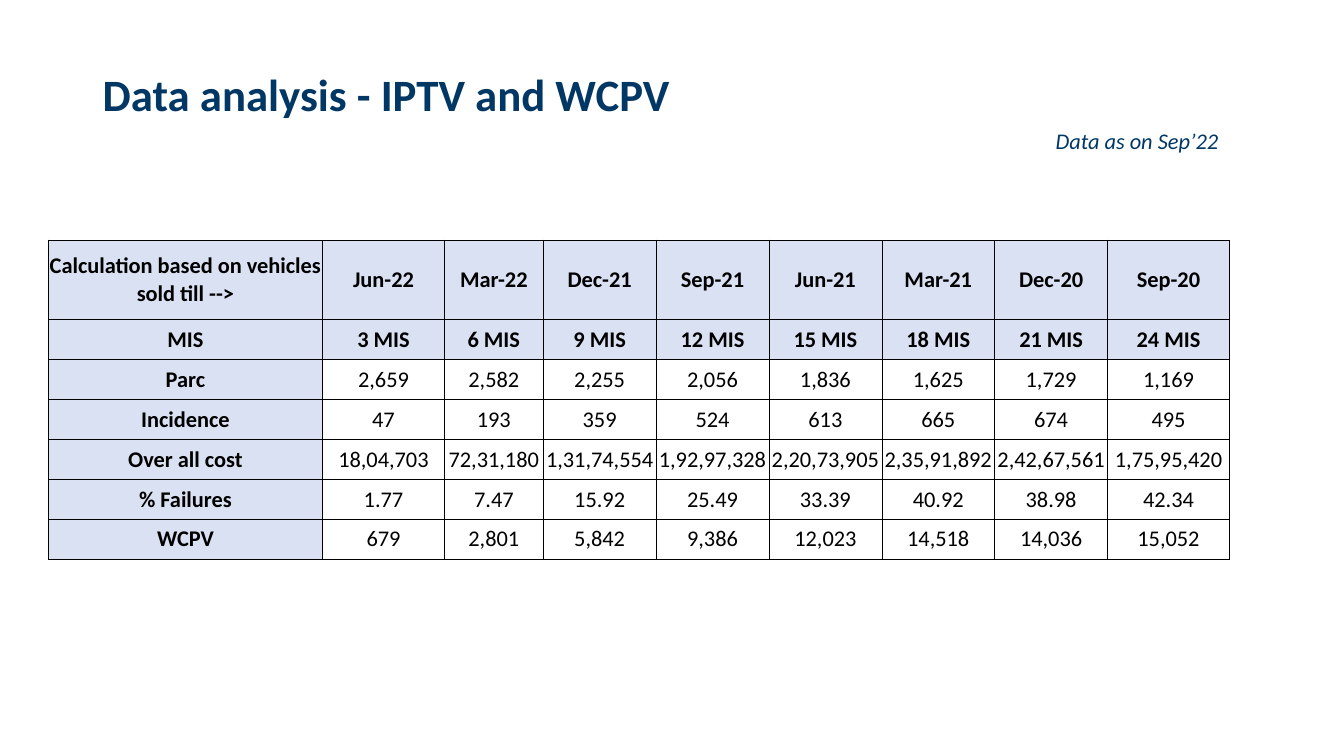
import pptx
import pptx.dml.color
import pptx.enum.text
import pptx.oxml
import pptx.oxml.ns
import pptx.util

Pt = pptx.util.Pt
ALIGN = pptx.enum.text.PP_ALIGN
ANCHOR = pptx.enum.text.MSO_ANCHOR

TITLE = "Data analysis - IPTV and WCPV"
DATE_NOTE = "Data as on Sep’22"
ROWS = [
    ("Calculation based on vehicles sold till -->", "Jun-22", "Mar-22", "Dec-21",
     "Sep-21", "Jun-21", "Mar-21", "Dec-20", "Sep-20"),
    ("MIS", "3 MIS", "6 MIS", "9 MIS", "12 MIS", "15 MIS", "18 MIS", "21 MIS", "24 MIS"),
    ("Parc", "2,659", "2,582", "2,255", "2,056", "1,836", "1,625", "1,729", "1,169"),
    ("Incidence", "47", "193", "359", "524", "613", "665", "674", "495"),
    ("Over all cost", "18,04,703", "72,31,180", "1,31,74,554", "1,92,97,328",
     "2,20,73,905", "2,35,91,892", "2,42,67,561", "1,75,95,420"),
    ("% Failures", "1.77", "7.47", "15.92", "25.49", "33.39", "40.92", "38.98", "42.34"),
    ("WCPV", "679", "2,801", "5,842", "9,386", "12,023", "14,518", "14,036", "15,052"),
]
HEADER_ROWS = 2
ROW_HEIGHT = 28.53
ROW_HEIGHTS = [2 * ROW_HEIGHT] + [ROW_HEIGHT] * (len(ROWS) - 1)
COLUMN_WIDTHS = [195.84, 87.12, 70.56] + [80.64] * 5 + [87.12]
TABLE_LEFT, TABLE_TOP = 34.56, 171.36

THEME = {
    "font": "Calibri",
    "navy": "003764",
    "black": "000000",
    "header_fill": "D9E1F2",
    "title_size": 32,
    "body_size": 16,
    "border": 0.5,
}


def color(name):
    return pptx.dml.color.RGBColor.from_string(THEME[name])


def format_text(frame, size, color_name, align, bold=False, italic=False):
    for para in frame.paragraphs:
        para.alignment = align
        for span in para.runs:
            span.font.name = THEME["font"]
            span.font.size = Pt(THEME[size])
            span.font.color.rgb = color(color_name)
            span.font.bold = bold
            span.font.italic = italic


def add_text(page, text, place, anchor):
    frame = page.shapes.add_textbox(*map(Pt, place)).text_frame
    frame.word_wrap = True
    frame.vertical_anchor = anchor
    frame.text = text
    return frame


def add_borders(cell):
    properties = cell._tc.get_or_add_tcPr()
    for side in ("lnL", "lnR", "lnT", "lnB"):
        properties.append(pptx.oxml.parse_xml(
            f'<a:{side} {pptx.oxml.ns.nsdecls("a")} w="{Pt(THEME["border"])}">'
            f'<a:solidFill><a:srgbClr val="{THEME["black"]}"/></a:solidFill></a:{side}>'))


def fill_cell(cell, text, is_header, is_label):
    cell.text = text
    cell.vertical_anchor = ANCHOR.MIDDLE
    cell.margin_left = cell.margin_right = cell.margin_top = cell.margin_bottom = 0
    format_text(cell.text_frame, "body_size", "black", ALIGN.CENTER,
                bold=is_header or is_label)
    add_borders(cell)
    if is_header or is_label:
        cell.fill.solid()
        cell.fill.fore_color.rgb = color("header_fill")
    else:
        cell.fill.background()


def add_cost_table(page):
    table = page.shapes.add_table(
        len(ROWS), len(COLUMN_WIDTHS), Pt(TABLE_LEFT), Pt(TABLE_TOP),
        Pt(sum(COLUMN_WIDTHS)), Pt(sum(ROW_HEIGHTS))).table
    table.first_row = False
    table.horz_banding = False
    for column, width in zip(table.columns, COLUMN_WIDTHS):
        column.width = Pt(width)
    for row, height in zip(table.rows, ROW_HEIGHTS):
        row.height = Pt(height)
    for row_index, values in enumerate(ROWS):
        for column_index, text in enumerate(values):
            fill_cell(table.cell(row_index, column_index), text,
                      row_index < HEADER_ROWS, column_index == 0)


def main():
    deck = pptx.Presentation()
    deck.slide_width, deck.slide_height = Pt(960), Pt(540)
    page = deck.slides.add_slide(deck.slide_layouts[6])

    title = add_text(page, TITLE, (66.24, 28.8, 812.16, 61.2), ANCHOR.BOTTOM)
    title.paragraphs[0].line_spacing = 0.9
    format_text(title, "title_size", "navy", ALIGN.LEFT, bold=True)

    note = add_text(page, DATE_NOTE, (727.92, 90, 168.48, 20.16), ANCHOR.MIDDLE)
    format_text(note, "body_size", "navy", ALIGN.CENTER, italic=True)

    add_cost_table(page)
    deck.save("out.pptx")


if __name__ == "__main__":
    main()
